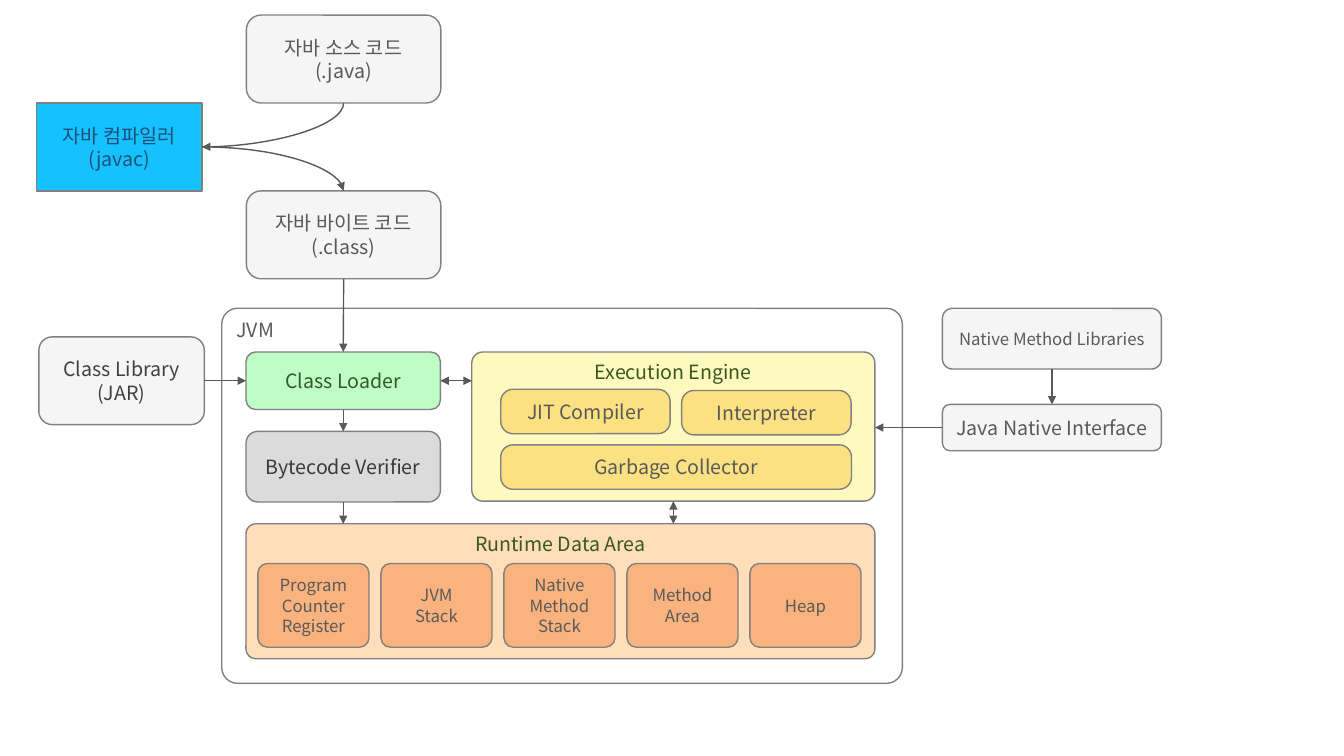
from dataclasses import dataclass

from lxml.etree import SubElement
from pptx import Presentation
from pptx.dml.color import RGBColor
from pptx.enum.shapes import MSO_CONNECTOR as Link, MSO_SHAPE as Shape
from pptx.enum.text import MSO_ANCHOR as Anchor, PP_ALIGN as Align
from pptx.oxml.ns import qn
from pptx.util import Cm, Pt


@dataclass(frozen=True)
class Theme:
    """Colours, font and type sizes of the slide."""
    font: str = "Noto Sans CJK KR"
    body: int = 14
    small: int = 12
    stroke: int = 1
    white: str = "FFFFFF"
    outline: str = "808080"
    text: str = "595959"
    dark: str = "404040"
    verifier_text: str = "3B3838"
    green_text: str = "385723"
    navy_text: str = "1F4E79"
    pale: str = "F5F5F5"
    grey: str = "DBDBDB"
    blue: str = "15C2FF"
    green: str = "BEFEC6"
    yellow: str = "FEF9BE"
    gold: str = "FBE181"
    peach: str = "FFDEB9"
    orange: str = "FAB37E"


THEME = Theme()


@dataclass(frozen=True)
class Box:
    """A rectangle in centimetres."""
    left: float
    top: float
    width: float
    height: float

    def inner(self, left, top, width, height):
        """Return a box placed relative to this one."""
        return Box(self.left + left, self.top + top, width, height)

    @property
    def right(self):
        return self.left + self.width

    @property
    def bottom(self):
        return self.top + self.height

    @property
    def center(self):
        return self.left + self.width / 2

    @property
    def middle(self):
        return self.top + self.height / 2


def add_card(page, box, text, fill, color=THEME.text, size=THEME.body,
             corner=0.167, anchor=Anchor.MIDDLE, align=Align.CENTER):
    """Draw a rounded card with its label and return its box."""
    card = page.shapes.add_shape(Shape.ROUNDED_RECTANGLE, Cm(box.left), Cm(box.top),
                                 Cm(box.width), Cm(box.height))
    card.adjustments[0] = corner
    card.shadow.inherit = False
    card.fill.solid()
    card.fill.fore_color.rgb = RGBColor.from_string(fill)
    card.line.color.rgb = RGBColor.from_string(THEME.outline)
    card.line.width = Pt(THEME.stroke)
    frame = card.text_frame
    frame.word_wrap = True
    frame.vertical_anchor = anchor
    frame.text = text
    for para in frame.paragraphs:
        para.alignment = align
        for span in para.runs:
            span.font.size = Pt(size)
            span.font.color.rgb = RGBColor.from_string(color)
            span.font.name = THEME.font
            SubElement(span.font._element, qn("a:ea"), typeface=THEME.font)
    return box


def add_arrow(page, start, end, kind=Link.STRAIGHT, both=False):
    """Draw an arrow between two points, with one head or two."""
    arrow = page.shapes.add_connector(kind, *(Cm(value) for value in (*start, *end)))
    arrow.line.color.rgb = RGBColor.from_string(THEME.text)
    arrow.line.width = Pt(THEME.stroke)
    line = arrow.line._get_or_add_ln()
    for tag in ("a:headEnd", "a:tailEnd") if both else ("a:tailEnd",):
        SubElement(line, qn(tag), type="triangle")
    SubElement(arrow._element.spPr, qn("a:effectLst"))
    return arrow


def add_curve(page, start, end, turned=False):
    """Draw a quarter-curve arrow; a turned one leaves downwards and ends leftwards."""
    if turned:
        center, middle = (start[0] + end[0]) / 2, (start[1] + end[1]) / 2
        half_width, half_height = (end[1] - start[1]) / 2, (start[0] - end[0]) / 2
        start = center - half_width, middle - half_height
        end = center + half_width, middle + half_height
    curve = add_arrow(page, start, end, Link.CURVE)
    properties = curve._element.spPr
    properties.find(qn("a:prstGeom")).set("prst", "curvedConnector2")
    if turned:
        properties.find(qn("a:xfrm")).set("rot", str(90 * 60000))


def add_compilation(page, box):
    """Draw source, compiler and bytecode; return the bytecode box."""
    height = box.height / 3.16
    source = add_card(page, box.inner(5.29, 0, 4.9, height),
                      "자바 소스 코드\n(.java)", THEME.pale)
    bytecode = add_card(page, box.inner(5.29, 2 * height, 4.9, height),
                        "자바 바이트 코드\n(.class)", THEME.pale)
    compiler = add_card(page, box.inner(0, height, 4.17, height),
                        "자바 컴파일러\n(javac)", THEME.blue, THEME.navy_text, corner=0)
    port = compiler.right, compiler.middle
    add_curve(page, (source.center, source.bottom), port, turned=True)
    add_curve(page, port, (bytecode.center, bytecode.top))
    return bytecode


def add_engine(page, box):
    """Draw the execution engine with its three parts."""
    add_card(page, box, "Execution Engine", THEME.yellow, THEME.green_text,
             corner=0.074, anchor=Anchor.TOP)
    for text, left, top, width in (("JIT Compiler", 0.73, 0.94, 4.27),
                                   ("Interpreter", 5.29, 0.97, 4.27),
                                   ("Garbage Collector", 0.73, 2.34, 8.84)):
        add_card(page, box.inner(left, top, width, 1.12), text, THEME.gold, corner=0.276)
    return box


def add_runtime(page, box):
    """Draw the runtime data area with a row of memory cells."""
    add_card(page, box, "Runtime Data Area", THEME.peach, THEME.green_text,
             corner=0.074, anchor=Anchor.TOP)
    cells = ("Program Counter Register", "JVM\nStack", "Native Method Stack",
             "Method Area", "Heap")
    for index, text in enumerate(cells):
        add_card(page, box.inner(0.3 + 3.1 * index, 1, 2.8, 2.11), text,
                 THEME.orange, size=THEME.small, corner=0.114)
    return box


def add_machine(page, box):
    """Draw the JVM with its inner arrows; return the loader and engine boxes."""
    add_card(page, box, "JVM", THEME.white, corner=0.042,
             anchor=Anchor.TOP, align=Align.LEFT)
    loader = add_card(page, box.inner(0.61, 1.1, 4.9, 1.45), "Class Loader",
                      THEME.green, THEME.green_text)
    verifier = add_card(page, box.inner(0.61, 3.1, 4.9, 1.78), "Bytecode Verifier",
                        THEME.grey, THEME.verifier_text)
    engine = add_engine(page, box.inner(6.3, 1.1, 10.16, 3.76))
    runtime = add_runtime(page, box.inner(0.61, 5.43, 15.85, 3.4))
    for upper, lower in ((loader, verifier), (verifier, runtime)):
        add_arrow(page, (upper.center, upper.bottom), (upper.center, lower.top))
    add_arrow(page, (engine.center, engine.bottom), (engine.center, runtime.top), both=True)
    add_arrow(page, (loader.right, loader.middle), (engine.left, loader.middle), both=True)
    return loader, engine


def add_native(page, box):
    """Draw the native libraries above their interface; return the interface box."""
    libraries = add_card(page, box.inner(0, 0, box.width, 1.53),
                         "Native Method Libraries", THEME.pale, size=THEME.small)
    interface = add_card(page, box.inner(0, 2.42, box.width, 1.17),
                         "Java Native Interface", THEME.pale)
    add_arrow(page, (libraries.center, libraries.bottom), (interface.center, interface.top))
    return interface


def add_diagram(page):
    """Place the regions and join them with arrows."""
    bytecode = add_compilation(page, Box(0.92, 0.38, 10.19, 7))
    loader, engine = add_machine(page, Box(5.59, 7.77, 17.15, 9.45))
    interface = add_native(page, Box(23.75, 7.77, 5.52, 3.59))
    library = add_card(page, Box(0.98, 8.49, 4.17, 2.21), "Class Library\n(JAR)",
                       THEME.pale, THEME.dark, corner=0.152)
    add_arrow(page, (bytecode.center, bytecode.bottom), (loader.center, loader.top))
    add_arrow(page, (library.right, loader.middle), (loader.left, loader.middle))
    add_arrow(page, (interface.left, interface.middle), (engine.right, interface.middle))


deck = Presentation()
deck.slide_width, deck.slide_height = Cm(33.87), Cm(19.05)
add_diagram(deck.slides.add_slide(deck.slide_layouts[6]))
deck.save("out.pptx")
